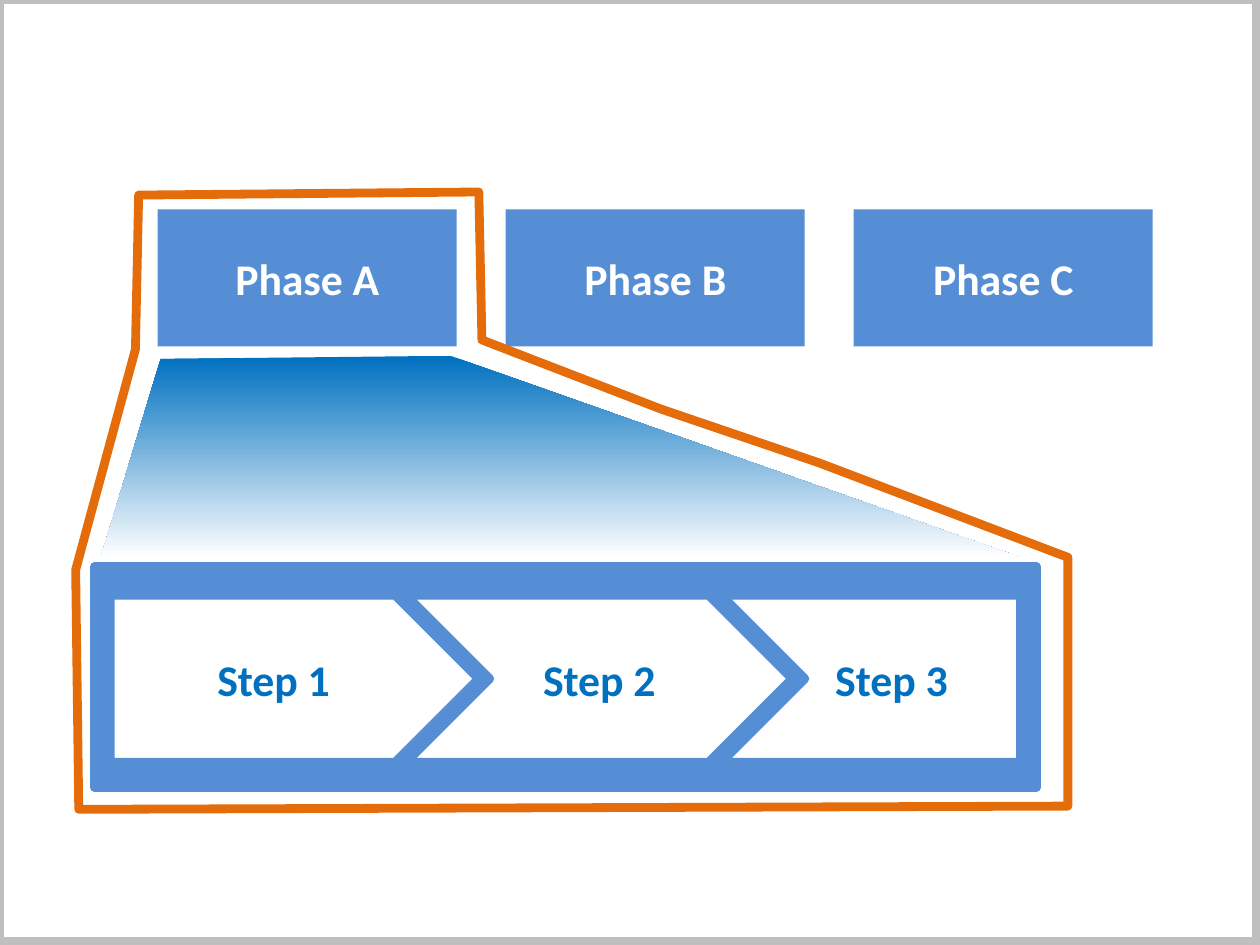
from pptx import Presentation
from pptx.dml.color import RGBColor
from pptx.enum.shapes import MSO_SHAPE
from pptx.enum.text import MSO_ANCHOR, PP_ALIGN
from pptx.util import Inches, Pt

RECT, PENTAGON = MSO_SHAPE.RECTANGLE, MSO_SHAPE.PENTAGON
MIDDLE, CENTER = MSO_ANCHOR.MIDDLE, PP_ALIGN.CENTER

WHITE = RGBColor(0xFF, 0xFF, 0xFF)
GRAY = RGBColor(0xBF, 0xBF, 0xBF)
BLUE = RGBColor(0x55, 0x8E, 0xD5)
DEEP_BLUE = RGBColor(0x00, 0x70, 0xC0)
ORANGE = RGBColor(0xE4, 0x6C, 0x0A)

# The slide is a grid of 400 columns by 300 rows of square cells.
WIDTH, HEIGHT = Inches(4), Inches(3)
CELL = WIDTH // 400
LINE_WIDTH = Pt(2)

PHASES = ["Phase A", "Phase B", "Phase C"]
PHASE_LEFT, PHASE_PITCH, PHASE_TOP = 50, 110.5, 66.5
PHASE_WIDTH, PHASE_HEIGHT = 95, 43.5
STEP_TOP, STEP_HEIGHT = 189, 53
STEP_POINT = STEP_HEIGHT / 2

BEAM = [(51, 114), (143, 113), (324, 177), (32, 177)]
HIGHLIGHT = [(44, 62), (43, 111), (24, 181), (25, 257), (339, 256),
             (339, 177), (260, 147), (210, 130), (153, 108), (152, 61)]


def cells(n):
    return round(n * CELL)


def paint(sp, fill=None, line=None):
    sp.shadow.inherit = False
    if fill is None:
        sp.fill.background()
    else:
        sp.fill.solid()
        sp.fill.fore_color.rgb = fill
    if line is None:
        sp.line.fill.background()
    else:
        sp.line.color.rgb = line
        sp.line.width = LINE_WIDTH


def add_preset(s, kind, box, fill=None, line=None):
    sp = s.shapes.add_shape(kind, *map(cells, box))
    paint(sp, fill, line)
    return sp


def add_outline(s, points, fill=None, line=None):
    """Draw a closed polygon through grid points."""
    start, *rest = [(cells(x), cells(y)) for x, y in points]
    builder = s.shapes.build_freeform(*start)
    builder.add_line_segments(rest, close=True)
    sp = builder.convert_to_shape()
    paint(sp, fill, line)
    return sp


def add_label(sp, text, color, indent=0):
    """Centre a bold label, moved right by half the indent."""
    tf = sp.text_frame
    frame_format = {
        "word_wrap": True, "vertical_anchor": MIDDLE,
        "margin_left": cells(4 + indent), "margin_right": cells(4),
        "margin_top": cells(2), "margin_bottom": cells(2),
    }
    for name, value in frame_format.items():
        setattr(tf, name, value)
    p = tf.paragraphs[0]
    p.alignment = CENTER
    r = p.add_run()
    r.text = text
    for name, value in {"name": "Calibri", "size": Pt(10), "bold": True}.items():
        setattr(r.font, name, value)
    r.font.color.rgb = color


def add_phase(s, index, text):
    left = PHASE_LEFT + index * PHASE_PITCH
    sp = add_preset(s, RECT, (left, PHASE_TOP, PHASE_WIDTH, PHASE_HEIGHT), BLUE)
    add_label(sp, text, WHITE)


def add_notched_step(s, text, left, shoulder, point=0, indent=0):
    """Draw a step notched on the left, with an optional point on the right."""
    middle, bottom = STEP_TOP + STEP_POINT, STEP_TOP + STEP_HEIGHT
    points = [(left, STEP_TOP), (shoulder, STEP_TOP), (shoulder + point, middle),
              (shoulder, bottom), (left, bottom), (left + STEP_POINT, middle)]
    sp = add_outline(s, points, WHITE, BLUE)
    add_label(sp, text, DEEP_BLUE, indent)


def add_beam(s):
    sp = add_outline(s, BEAM)
    sp.fill.gradient()
    sp.fill.gradient_angle = 270
    for stop, color in zip(sp.fill.gradient_stops, (DEEP_BLUE, WHITE)):
        stop.color.rgb = color


def main():
    prs = Presentation()
    prs.slide_width, prs.slide_height = WIDTH, HEIGHT
    s = prs.slides.add_slide(prs.slide_layouts[6])

    add_preset(s, RECT, (0, 0, 399, 299), line=GRAY)
    add_preset(s, RECT, (30, 180, 299, 70), BLUE, BLUE)
    add_beam(s)
    add_notched_step(s, "Step 3", 229, 324, indent=13)
    add_notched_step(s, "Step 2", 129, 225, point=STEP_POINT)
    first = add_preset(s, PENTAGON, (35, STEP_TOP, 117, STEP_HEIGHT), WHITE, BLUE)
    add_label(first, "Step 1", DEEP_BLUE)
    for index, text in enumerate(PHASES):
        add_phase(s, index, text)
    add_outline(s, HIGHLIGHT, line=ORANGE)

    prs.save("out.pptx")


if __name__ == "__main__":
    main()
